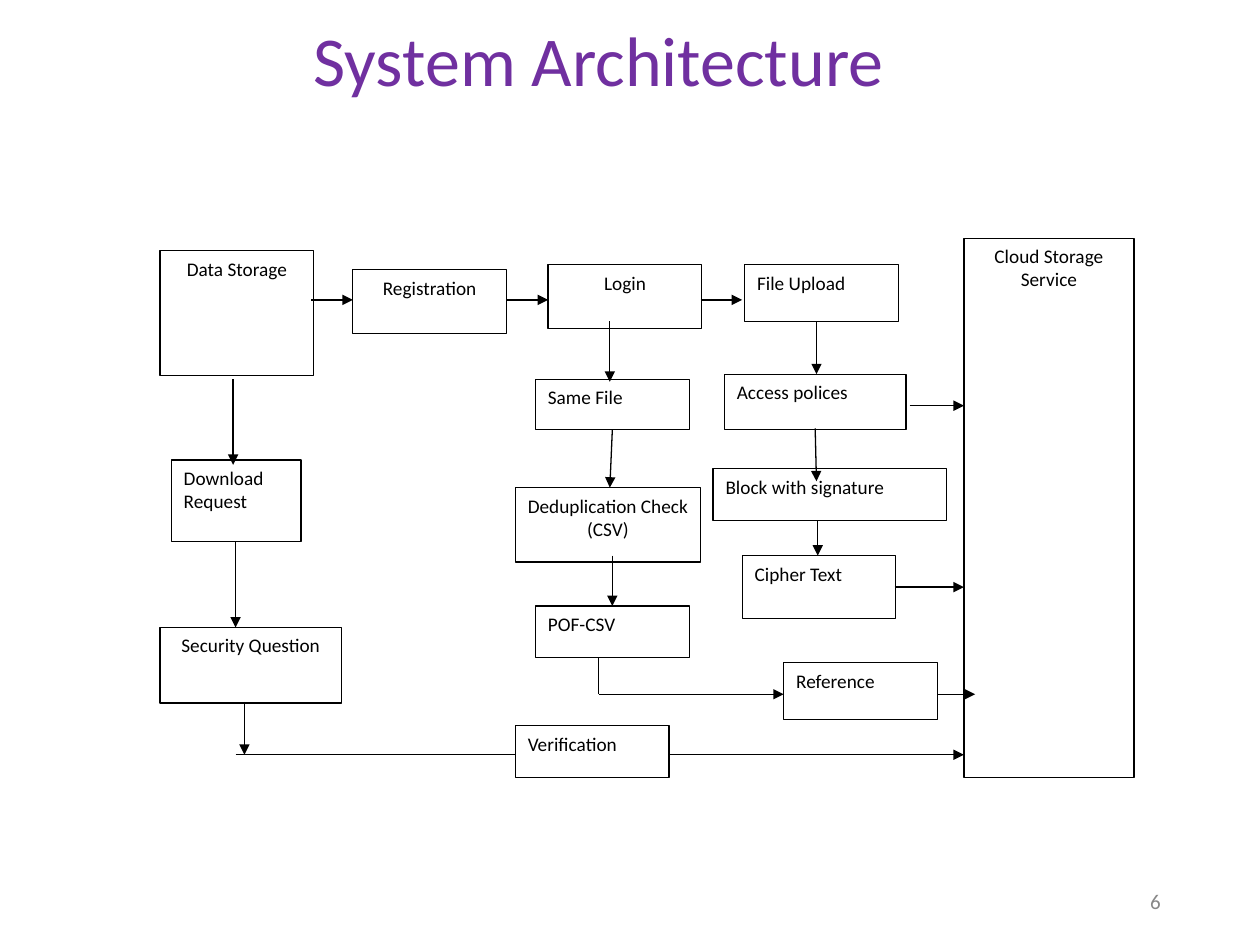
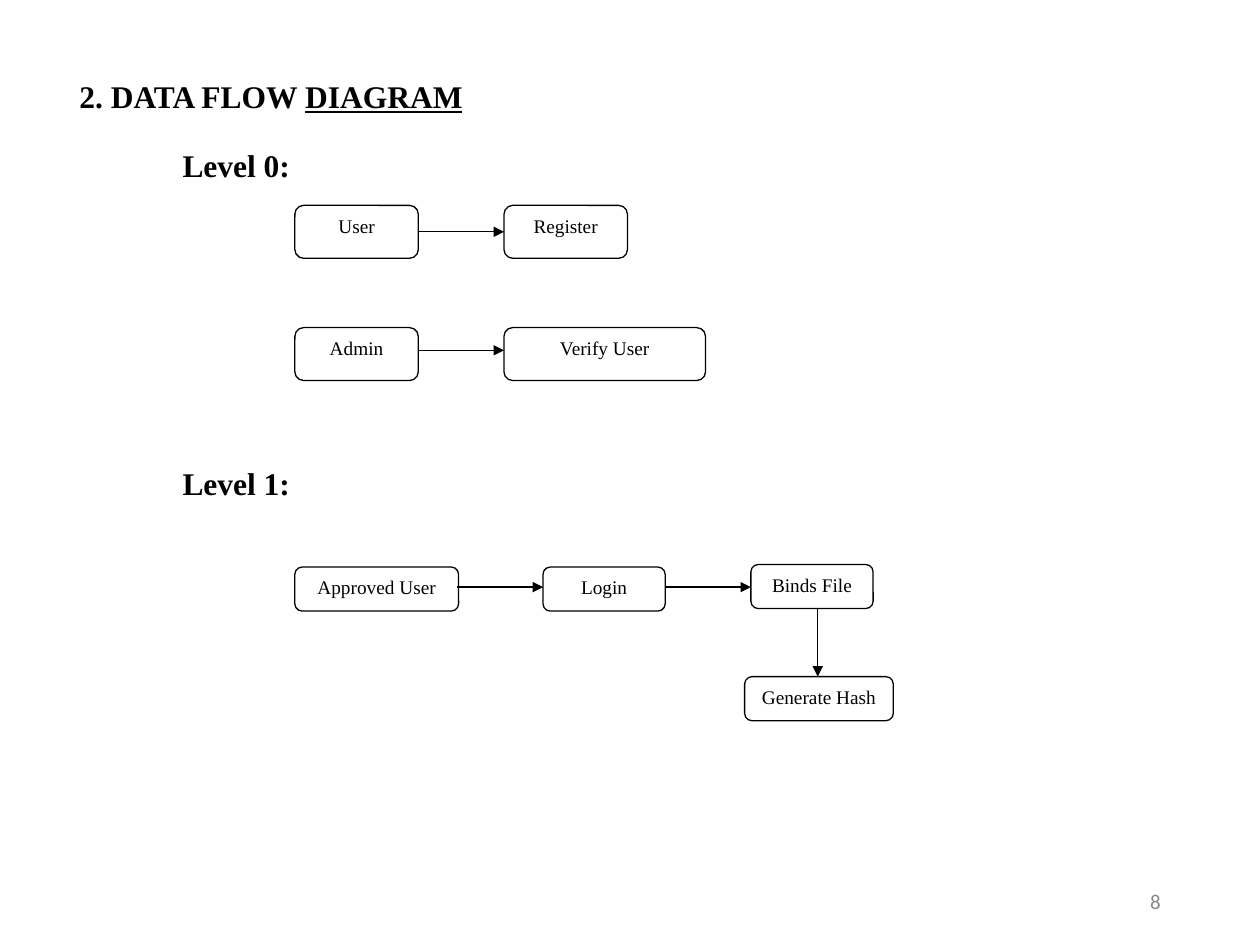
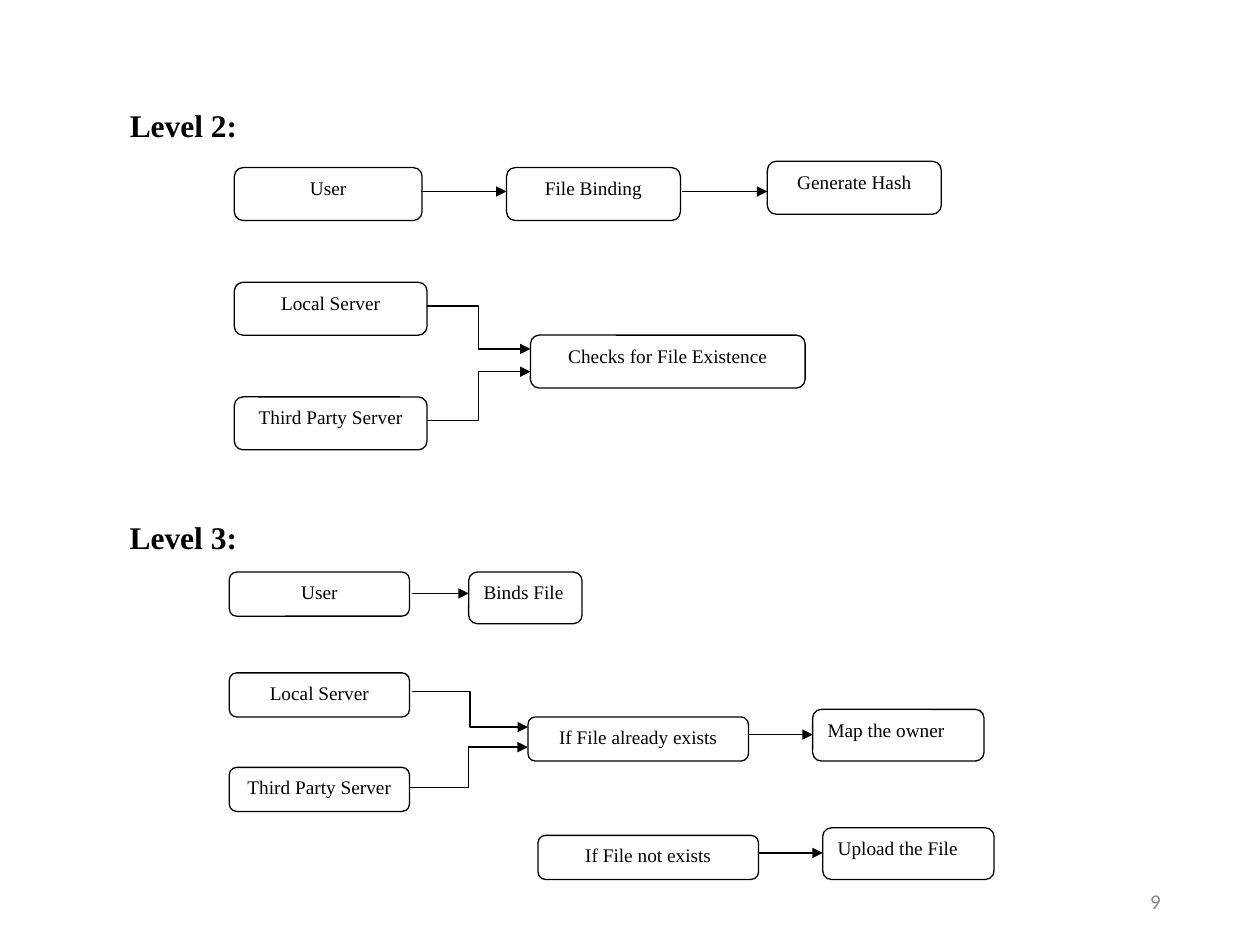
from lxml.etree import SubElement
from pptx import Presentation
from pptx.dml.color import RGBColor
from pptx.enum.shapes import MSO_CONNECTOR, MSO_SHAPE
from pptx.enum.text import MSO_ANCHOR, PP_ALIGN
from pptx.oxml.ns import qn
from pptx.util import Inches, Pt

COLORS = {"title": "7030A0", "ink": "000000", "paper": "FFFFFF", "number": "888888"}
SANS, SERIF = "Calibri", "Times New Roman"
LINE_WIDTH = Pt(0.75)
LEFT, CENTER, RIGHT = PP_ALIGN.LEFT, PP_ALIGN.CENTER, PP_ALIGN.RIGHT


def color(name):
    return RGBColor.from_string(COLORS[name])


def add_run(paragraph, text, size, font, ink="ink", bold=False, underline=False):
    run = paragraph.add_run()
    run.text = text
    run.font.size = Pt(size)
    run.font.name = font
    run.font.bold = bold
    run.font.underline = underline
    run.font.color.rgb = color(ink)


def prepare_frame(shape, anchor=MSO_ANCHOR.TOP):
    frame = shape.text_frame
    frame.word_wrap = True
    frame.vertical_anchor = anchor
    frame.margin_left = frame.margin_right = Inches(0.1)
    frame.margin_top = frame.margin_bottom = Inches(0.05)
    return frame


def place_title(slide, left, top, width, height):
    """Move the title placeholder and return its empty paragraph."""
    title = slide.shapes.title
    title.left, title.top = Inches(left), Inches(top)
    title.width, title.height = Inches(width), Inches(height)
    paragraph = prepare_frame(title).paragraphs[0]
    paragraph.alignment = LEFT
    return paragraph


def add_text_box(slide, left, top, width, height, anchor=MSO_ANCHOR.TOP):
    text_box = slide.shapes.add_textbox(
        Inches(left), Inches(top), Inches(width), Inches(height))
    return prepare_frame(text_box, anchor).paragraphs[0]


def write_level(paragraph, text):
    paragraph.alignment = PP_ALIGN.JUSTIFY
    paragraph.line_spacing = 1.5
    add_run(paragraph, text, 18, SERIF, bold=True)


def add_page_number(slide, number):
    paragraph = add_text_box(slide, 7.06, 6.95, 2.25, 0.4, MSO_ANCHOR.MIDDLE)
    paragraph.alignment = RIGHT
    add_run(paragraph, number, 12, SANS, "number")


def add_box(slide, kind, font, text, left, top, width, height, alignment=CENTER):
    box = slide.shapes.add_shape(
        kind, Inches(left), Inches(top), Inches(width), Inches(height))
    box.shadow.inherit = False
    box.fill.solid()
    box.fill.fore_color.rgb = color("paper")
    box.line.color.rgb = color("ink")
    box.line.width = LINE_WIDTH
    frame = prepare_frame(box)
    for index, line in enumerate(text.split("\n")):
        paragraph = frame.add_paragraph() if index else frame.paragraphs[0]
        paragraph.alignment = alignment
        add_run(paragraph, line, 11, font)


def add_process(slide, *values):
    add_box(slide, MSO_SHAPE.RECTANGLE, SANS, *values)


def add_step(slide, *values):
    add_box(slide, MSO_SHAPE.ROUNDED_RECTANGLE, SERIF, *values)


def add_line(slide, x1, y1, x2, y2, kind=MSO_CONNECTOR.STRAIGHT, arrow=True):
    connector = slide.shapes.add_connector(
        kind, Inches(x1), Inches(y1), Inches(x2), Inches(y2))
    connector.line.color.rgb = color("ink")
    connector.line.width = LINE_WIDTH
    if arrow:
        SubElement(connector.line._get_or_add_ln(), qn("a:tailEnd"), type="triangle")
    SubElement(connector._element.spPr, qn("a:effectLst"))


def add_arrows(slide, arrows):
    for arrow in arrows:
        add_line(slide, *arrow)


def add_elbows(slide, elbows):
    for elbow in elbows:
        add_line(slide, *elbow, kind=MSO_CONNECTOR.ELBOW)


def build_architecture(slide):
    add_run(place_title(slide, 2.39, 0.08, 5, 0.77),
            "System Architecture", 40, SANS, "title")
    width = 1.22
    cloud_left = 7.65

    # Components
    for process in [
        ("Data Storage", 1.27, 1.99, width, 0.99),
        ("Cloud Storage\nService", cloud_left, 1.89, 1.35, 4.28),
        ("Deduplication Check (CSV)", 4.09, 3.87, 1.47, 0.59),
        ("Login", 4.35, 2.1, width, 0.51),
        ("Registration", 2.8, 2.14, width, 0.51),
        ("File Upload", 5.91, 2.1, width, 0.45, LEFT),
        ("Reference", 6.22, 5.26, width, 0.45, LEFT),
        ("Access polices", 5.75, 2.97, 1.44, 0.44, LEFT),
        ("Download Request", 1.36, 3.65, 1.03, 0.65, LEFT),
        ("Same File", 4.25, 3.01, width, 0.4, LEFT),
        ("Block with signature", 5.66, 3.72, 1.85, 0.41, LEFT),
        ("Cipher Text", 5.89, 4.41, width, 0.5, LEFT),
        ("POF-CSV", 4.25, 4.81, width, 0.41, LEFT),
        ("Security Question", 1.27, 4.98, 1.44, 0.6),
    ]:
        add_process(slide, *process)

    # Top row, left to right
    for start in (2.47, 4.02, 5.56):
        add_line(slide, start, 2.38, start + 0.33, 2.38)

    # Flows into cloud storage
    for start, y in ((7.22, 3.22), (7.1, 4.66), (1.87, 5.99)):
        add_line(slide, start, y, cloud_left, y)

    # Downward flows and the reference path
    add_arrows(slide, [
        (1.85, 3.01, 1.85, 3.69),
        (1.87, 4.3, 1.87, 4.98),
        (1.94, 5.57, 1.94, 5.99),
        (4.84, 2.55, 4.84, 3.03),
        (4.86, 3.41, 4.84, 3.87),
        (4.86, 4.41, 4.86, 4.81),
        (6.48, 2.55, 6.48, 2.97),
        (6.47, 3.4, 6.48, 3.82),
        (6.49, 4.13, 6.49, 4.41),
        (4.75, 5.51, 6.22, 5.51),
        (7.44, 5.51, 7.74, 5.51),
    ])
    add_line(slide, 4.75, 5.22, 4.75, 5.51, arrow=False)

    # Verification sits on top of its flow line
    add_process(slide, "Verification", 4.09, 5.76, width, 0.41, LEFT)


def build_levels_0_and_1(slide):
    heading = place_title(slide, 0.53, 0.56, 6.15, 0.4)
    add_run(heading, "2. DATA FLOW ", 18, SERIF, bold=True)
    add_run(heading, "DIAGRAM", 18, SERIF, bold=True, underline=True)
    for text, top in (("Level 0:", 0.96), ("Level 1:", 3.48)):
        write_level(add_text_box(slide, 1.35, top, 5.58, 0.5), text)

    # Level 0: actor and action
    for actor, action, top, width, arrow_y in [
        ("User", "Register", 1.63, 0.98, 1.84),
        ("Admin", "Verify User", 2.6, 1.6, 2.78),
    ]:
        add_step(slide, actor, 2.34, top, 0.98, 0.42)
        add_step(slide, action, 4, top, width, 0.42)
        add_line(slide, 3.32, arrow_y, 4, arrow_y)

    # Level 1
    for text, left, top, width in [
        ("Approved User", 2.34, 4.5, 1.3),
        ("Login", 4.31, 4.5, 0.97),
        ("Binds File", 5.96, 4.48, 0.97),
        ("Generate Hash", 5.91, 5.37, 1.18),
    ]:
        add_step(slide, text, left, top, width, 0.35)
    add_arrows(slide, [
        (3.63, 4.66, 4.31, 4.66),
        (5.28, 4.66, 5.96, 4.66),
        (6.49, 4.83, 6.49, 5.37),
    ])


def build_levels_2_and_3(slide):
    write_level(place_title(slide, 0.93, 0.64, 5.35, 0.5), "Level 2:")
    write_level(add_text_box(slide, 0.93, 3.91, 5.35, 0.5), "Level 3:")

    # Level 2
    for text, left, top, width in [
        ("User", 1.86, 1.33, 1.49),
        ("File Binding", 4.02, 1.33, 1.38),
        ("Generate Hash", 6.09, 1.28, 1.38),
        ("Local Server", 1.86, 2.24, 1.53),
        ("Third Party Server", 1.86, 3.15, 1.53),
        ("Checks for File Existence", 4.21, 2.66, 2.18),
    ]:
        add_step(slide, text, left, top, width, 0.42)
    add_arrows(slide, [(3.34, 1.52, 4.02, 1.52), (5.41, 1.52, 6.09, 1.52)])
    add_elbows(slide, [(3.39, 2.43, 4.21, 2.77), (3.39, 3.34, 4.21, 2.95)])

    # Level 3: sources and conditions
    for text, left, top, width in [
        ("User", 1.82, 4.54, 1.43),
        ("Local Server", 1.82, 5.34, 1.43),
        ("Third Party Server", 1.82, 6.09, 1.43),
        ("If File already exists", 4.19, 5.69, 1.75),
        ("If File not exists", 4.27, 6.63, 1.75),
    ]:
        add_step(slide, text, left, top, width, 0.35)

    # Level 3: resulting actions
    for text, left, top, width in [
        ("Binds File", 3.72, 4.54, 0.9),
        ("Map the owner", 6.45, 5.63, 1.36),
        ("Upload the File", 6.53, 6.57, 1.36),
    ]:
        add_step(slide, text, left, top, width, 0.41, LEFT)
    add_arrows(slide, [
        (3.27, 4.71, 3.72, 4.71),
        (5.94, 5.83, 6.45, 5.83),
        (6.02, 6.77, 6.53, 6.77),
    ])
    add_elbows(slide, [(3.27, 5.49, 4.19, 5.77), (3.25, 6.25, 4.19, 5.93)])


def main():
    presentation = Presentation()
    presentation.slide_width, presentation.slide_height = Inches(10), Inches(7.5)
    title_only = presentation.slide_layouts[5]
    for build, number in [
        (build_architecture, "6"),
        (build_levels_0_and_1, "8"),
        (build_levels_2_and_3, "9"),
    ]:
        slide = presentation.slides.add_slide(title_only)
        build(slide)
        add_page_number(slide, number)
    presentation.save("out.pptx")


if __name__ == "__main__":
    main()
